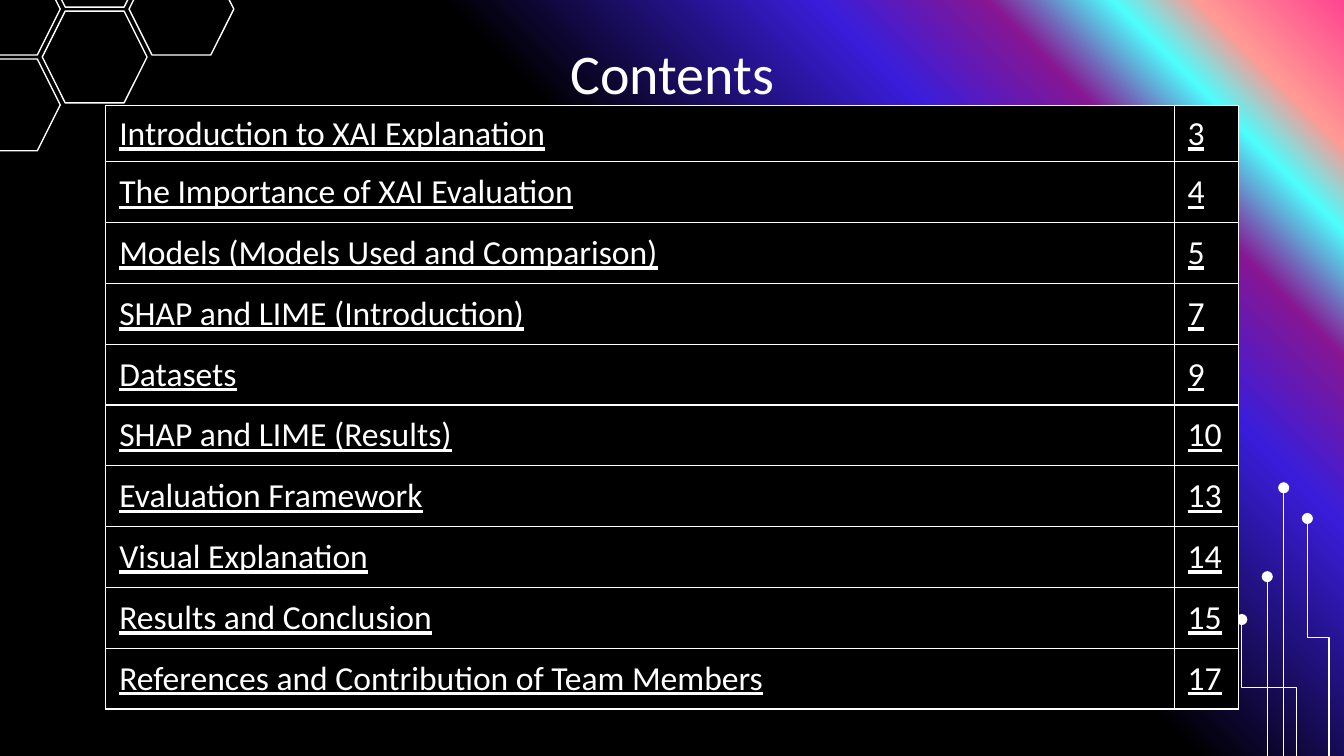
from pptx import Presentation
from pptx.dml.color import RGBColor
from pptx.enum.shapes import MSO_CONNECTOR, MSO_SHAPE
from pptx.enum.text import MSO_ANCHOR, PP_ALIGN
from pptx.oxml import parse_xml
from pptx.oxml.ns import nsdecls, qn
from pptx.util import Cm, Pt
from lxml.etree import SubElement

WHITE = RGBColor(0xFF, 0xFF, 0xFF)
BLACK = RGBColor(0x00, 0x00, 0x00)
GRADIENT = [
    (0, RGBColor(0xFF, 0x44, 0x91)),
    (7, RGBColor(0xFF, 0x9A, 0x94)),
    (11, RGBColor(0x4D, 0xFF, 0xFF)),
    (17, RGBColor(0x86, 0x16, 0x93)),
    (25, RGBColor(0x3A, 0x1D, 0xDB)),
    (43, BLACK),
    (100, BLACK),
]
FONT = "Calibri"
LINE_WIDTH = Pt(0.75)
SLIDE_WIDTH, SLIDE_HEIGHT = 25.4, 14.29

CONTENTS = [
    ("Introduction to XAI Explanation", "3"),
    ("The Importance of XAI Evaluation", "4"),
    ("Models (Models Used and Comparison)", "5"),
    ("SHAP and LIME (Introduction)", "7"),
    ("Datasets", "9"),
    ("SHAP and LIME (Results)", "10"),
    ("Evaluation Framework", "13"),
    ("Visual Explanation", "14"),
    ("Results and Conclusion", "15"),
    ("References and Contribution of Team Members", "17"),
]
HEXAGON_CELLS = [(1, 0), (0, 1), (1, 2), (0, 3), (2, 1)]
CIRCUIT_TRACES = [
    (1.65, 1.24, 0.58),
    (0.48, 0.48, 1.68),
    (0.79, 0.79, 0),
    (1.04, 0, 2.49),
]


def style_font(paragraph, size):
    paragraph.font.name = FONT
    paragraph.font.size = Pt(size)
    paragraph.font.color.rgb = WHITE


def paint_background(slide):
    slide.background.fill.solid()
    properties = slide.element.find(".//" + qn("p:bgPr"))
    stops = "".join(
        f'<a:gs pos="{position * 1000}"><a:srgbClr val="{color}"/></a:gs>'
        for position, color in GRADIENT
    )
    gradient = parse_xml(
        f'<a:gradFill {nsdecls("a")} rotWithShape="1"><a:gsLst>{stops}</a:gsLst>'
        '<a:path path="circle"><a:fillToRect l="100000" b="100000"/></a:path>'
        "</a:gradFill>"
    )
    properties.replace(properties[0], gradient)


def add_honeycomb(slide, left, top, width, height):
    column_step, row_step = 1.64, 0.905
    hexagon_width = width - 2 * column_step
    hexagon_height = height - 3 * row_step
    for column, row in HEXAGON_CELLS:
        hexagon = slide.shapes.add_shape(
            MSO_SHAPE.HEXAGON,
            Cm(left + column * column_step),
            Cm(top + row * row_step),
            Cm(hexagon_width),
            Cm(hexagon_height),
        )
        hexagon.shadow.inherit = False
        hexagon.fill.background()
        hexagon.line.color.rgb = WHITE
        hexagon.line.width = LINE_WIDTH


def add_trace(slide, foot_x, foot_y, head_x, head_y):
    if foot_x == head_x:
        trace = slide.shapes.add_connector(
            MSO_CONNECTOR.STRAIGHT, Cm(foot_x), Cm(foot_y), Cm(head_x), Cm(head_y)
        )
    else:
        center_x, center_y = (foot_x + head_x) / 2, (foot_y + head_y) / 2
        half_length, half_offset = (foot_y - head_y) / 2, (foot_x - head_x) / 2
        trace = slide.shapes.add_connector(
            MSO_CONNECTOR.ELBOW,
            Cm(center_x + half_length),
            Cm(center_y - half_offset),
            Cm(center_x - half_length),
            Cm(center_y + half_offset),
        )
        trace.element.spPr.find(qn("a:xfrm")).set("rot", "5400000")
    trace.line.color.rgb = WHITE
    trace.line.width = LINE_WIDTH
    SubElement(trace.line._get_or_add_ln(), qn("a:tailEnd"), type="oval")
    SubElement(trace.element.spPr, qn("a:effectLst"))


def add_circuit(slide, left, top, height):
    for foot, head, drop in CIRCUIT_TRACES:
        add_trace(slide, left + foot, top + height, left + head, top + drop)


def add_title(slide, left, top, width, height):
    title = slide.shapes.add_textbox(Cm(left), Cm(top), Cm(width), Cm(height))
    frame = title.text_frame
    frame.word_wrap = True
    frame.vertical_anchor = MSO_ANCHOR.TOP
    frame.margin_top = Cm(0.32)
    paragraph = frame.paragraphs[0]
    paragraph.text = "Contents"
    paragraph.alignment = PP_ALIGN.CENTER
    style_font(paragraph, 30)


def add_borders(cell):
    properties = cell._tc.get_or_add_tcPr()
    for side in ("L", "R", "T", "B"):
        border = SubElement(properties, qn(f"a:ln{side}"), w=str(LINE_WIDTH))
        fill = SubElement(border, qn("a:solidFill"))
        SubElement(fill, qn("a:srgbClr"), val=str(WHITE))


def fill_cell(cell, text):
    add_borders(cell)
    cell.fill.solid()
    cell.fill.fore_color.rgb = BLACK
    cell.vertical_anchor = MSO_ANCHOR.MIDDLE
    cell.margin_top = cell.margin_bottom = 0
    paragraph = cell.text_frame.paragraphs[0]
    paragraph.text = text
    paragraph.font.underline = True
    style_font(paragraph, 18)


def add_contents_table(slide, left, top, width, height):
    row_height, page_width = 1.15, 1.22
    table = slide.shapes.add_table(
        len(CONTENTS), 2, Cm(left), Cm(top), Cm(width), Cm(height)
    ).table
    table.first_row = False
    table.horz_banding = False
    table.columns[0].width = Cm(width - page_width)
    table.columns[1].width = Cm(page_width)
    for row in table.rows:
        row.height = Cm(row_height)
    table.rows[0].height = Cm(height - row_height * (len(CONTENTS) - 1))
    for row, entry in zip(table.rows, CONTENTS):
        for cell, text in zip(row.cells, entry):
            fill_cell(cell, text)


def main():
    presentation = Presentation()
    presentation.slide_width = Cm(SLIDE_WIDTH)
    presentation.slide_height = Cm(SLIDE_HEIGHT)
    slide = presentation.slides.add_slide(presentation.slide_layouts[6])
    paint_background(slide)
    add_honeycomb(slide, -0.84, -1.6, 5.26, 4.45)
    add_circuit(slide, 23.47, 9.22, SLIDE_HEIGHT - 9.22)
    add_title(slide, 2, 0.41, 21.41, 1.6)
    add_contents_table(slide, 2, 2, 21.41, 11.41)
    presentation.save("out.pptx")


if __name__ == "__main__":
    main()
